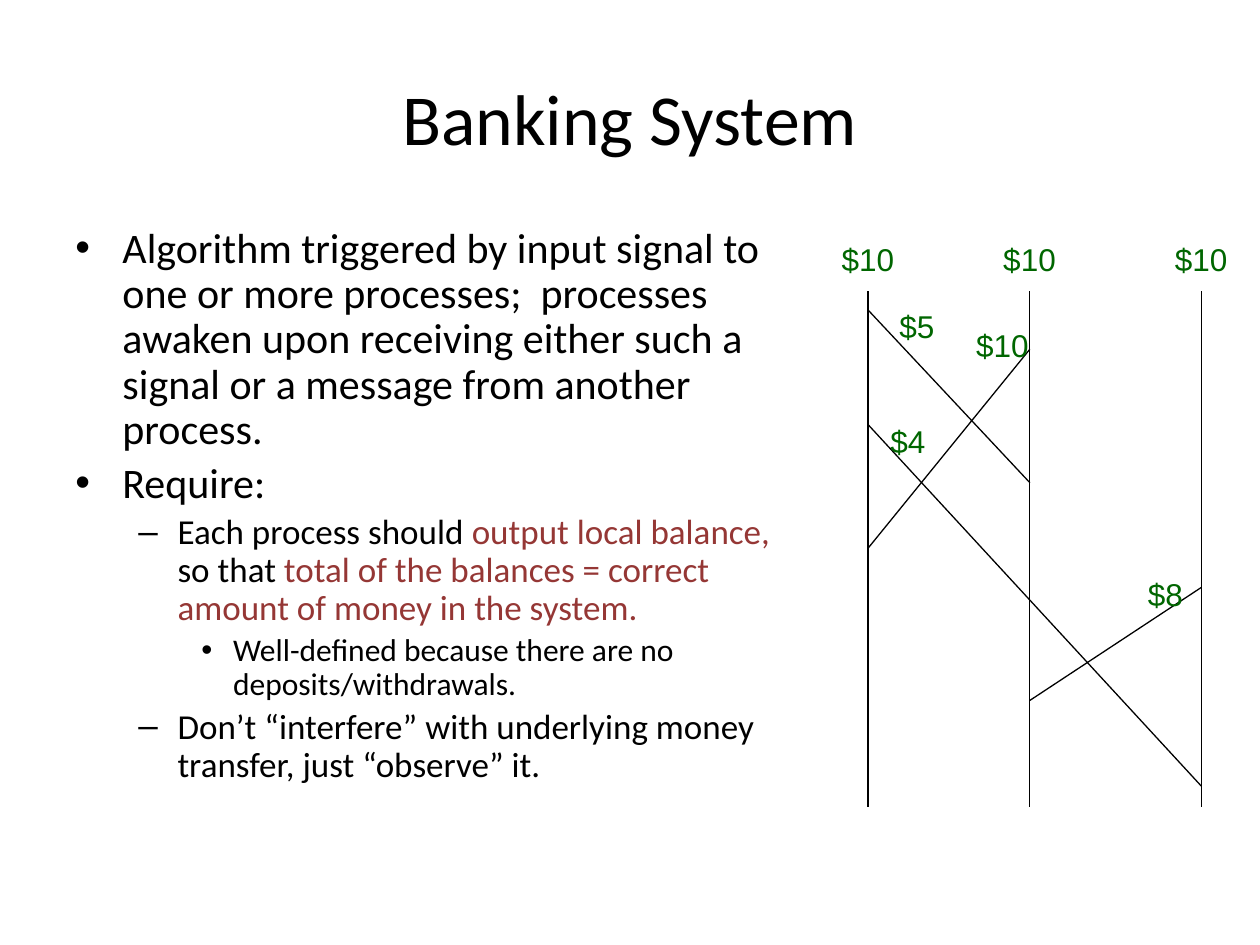
from lxml.etree import SubElement
from pptx import Presentation
from pptx.dml.color import RGBColor
from pptx.enum.shapes import MSO_CONNECTOR
from pptx.enum.text import MSO_ANCHOR, PP_ALIGN
from pptx.oxml.ns import qn
from pptx.util import Cm, Pt

BLACK = RGBColor(0x00, 0x00, 0x00)
RED = RGBColor(0x95, 0x37, 0x35)
GREEN = RGBColor(0x00, 0x66, 0x00)

TITLE = "Banking System"

# (level, [(text, colour), ...])
POINTS = [
    (0, [("Algorithm triggered by input signal to one or more processes;  processes "
          "awaken upon receiving either such a signal or a message from another "
          "process.", BLACK)]),
    (0, [("Require:", BLACK)]),
    (1, [("Each process should ", BLACK),
         ("output local balance, ", RED),
         ("so that ", BLACK),
         ("total of the balances = correct amount of money in the system.", RED)]),
    (2, [("Well-defined because there are no deposits/withdrawals.", BLACK)]),
    (1, [("Don’t “interfere” with underlying money transfer, just “observe” it.", BLACK)]),
]

# level: (font size in points, bullet, text indent in cm, hanging indent in cm)
LEVELS = {
    0: (24, "•", 0.95, 0.95),
    1: (20, "–", 2.06, 0.79),
    2: (18, "•", 3.18, 0.64),
}

# Process timelines: x positions, starting balance, top and bottom, in cm
PROCESS_X = [17.5, 20.76, 24.22]
BALANCE = "$10"
TIMELINE_TOP, TIMELINE_BOTTOM = 5.87, 16.26

# (sender, time sent, receiver, time received, amount, label left, label top)
TRANSFERS = [
    (0, 6.25, 1, 9.73, "$5", 17.88, 6.07),
    (1, 7.04, 0, 11.05, "$10", 19.43, 6.45),
    (0, 8.56, 2, 15.85, "$4", 17.7, 8.38),
    (2, 11.84, 1, 14.12, "$8", 22.89, 11.46),
]
LABEL_WIDTH = {2: 1.22, 3: 1.57}
LABEL_HEIGHT = 1.02


def add_text(page, left, top, width, height, paragraphs, font="Calibri", size=None,
             align=PP_ALIGN.LEFT, anchor=MSO_ANCHOR.TOP, wrap=True):
    """Add a text box; paragraphs are (level, spans), level None being unbulleted."""
    box = page.shapes.add_textbox(Cm(left), Cm(top), Cm(width), Cm(height))
    frame = box.text_frame
    frame.word_wrap = wrap
    frame.vertical_anchor = anchor
    for index, (level, spans) in enumerate(paragraphs):
        para = frame.add_paragraph() if index else frame.paragraphs[0]
        para.alignment = align
        if level is not None:
            format_bullet(para, level)
        for text, colour in spans:
            span = para.add_run()
            span.text = text
            span.font.name = font
            span.font.size = Pt(size or LEVELS[level][0])
            span.font.color.rgb = colour
    return box


def format_bullet(para, level):
    size, bullet, indent, hanging = LEVELS[level]
    para.level = level
    para.line_spacing = 0.9
    para.space_before = Pt(size * 0.2)
    props = para._p.get_or_add_pPr()
    props.set("marL", str(Cm(indent)))
    props.set("indent", str(-Cm(hanging)))
    SubElement(props, qn("a:buFont"), typeface="Arial")
    SubElement(props, qn("a:buChar"), char=bullet)


def add_label(page, text, left, top):
    add_text(page, left, top, LABEL_WIDTH[len(text)], LABEL_HEIGHT,
             [(None, [(text, GREEN)])], font="Arial", size=18, wrap=False)


def add_line(page, x1, y1, x2, y2):
    line = page.shapes.add_connector(MSO_CONNECTOR.STRAIGHT, Cm(x1), Cm(y1), Cm(x2), Cm(y2))
    line.line.color.rgb = BLACK
    line.line.width = Pt(0.75)
    SubElement(line._element.spPr, qn("a:effectLst"))


def main():
    deck = Presentation()
    deck.slide_width, deck.slide_height = Cm(25.4), Cm(19.05)
    page = deck.slides.add_slide(deck.slide_layouts[6])

    add_text(page, 1.27, 0.76, 22.86, 3.18, [(None, [(TITLE, BLACK)])],
             size=41, align=PP_ALIGN.CENTER, anchor=MSO_ANCHOR.MIDDLE)
    add_text(page, 1.27, 4.45, 15.09, 13.97, POINTS)

    for x in PROCESS_X:
        add_line(page, x, TIMELINE_TOP, x, TIMELINE_BOTTOM)
        add_label(page, BALANCE, x - LABEL_WIDTH[len(BALANCE)] / 2, 4.72)

    for sender, sent, receiver, received, amount, left, top in TRANSFERS:
        add_line(page, PROCESS_X[sender], sent, PROCESS_X[receiver], received)
        add_label(page, amount, left, top)

    deck.save("out.pptx")


if __name__ == "__main__":
    main()
